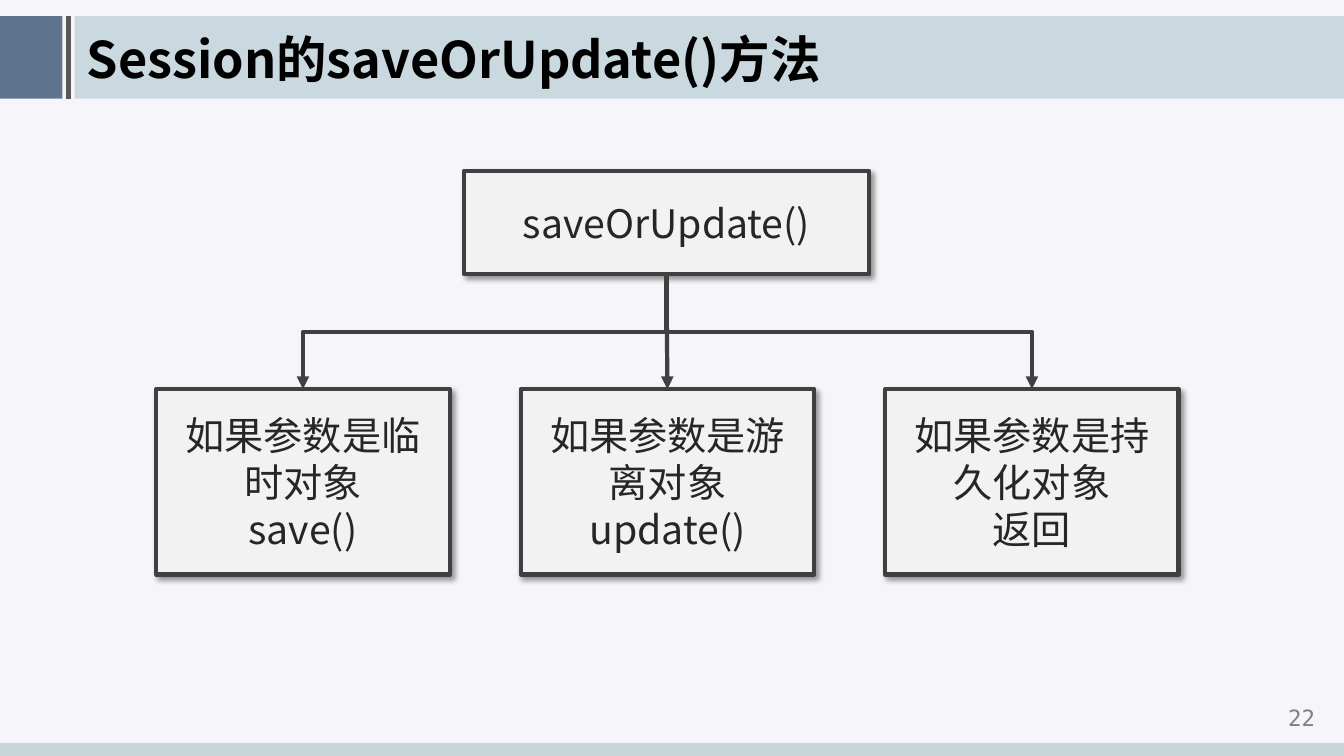
from dataclasses import dataclass

from lxml.etree import SubElement
from pptx import Presentation
from pptx.dml.color import RGBColor
from pptx.enum.shapes import MSO_CONNECTOR, MSO_SHAPE
from pptx.enum.text import MSO_ANCHOR, PP_ALIGN
from pptx.oxml.ns import qn
from pptx.util import Inches, Pt

TITLE = "Session的saveOrUpdate()方法"
PAGE = "22"
ROOT = "saveOrUpdate()"
CASES = [
    ("如果参数是临时对象", "save()"),
    ("如果参数是游离对象", "update()"),
    ("如果参数是持久化对象", "返回"),
]

# left, top, width, height, colour, opacity in percent
BANDS = [
    (0, 0.16, 0.62, 0.82, "204062", 70),
    (0.74, 0.16, 12.59, 0.82, "6699A1", 30),
    (0, 7.37, 13.33, 0.13, "C8D7DA", 100),
]
ROOT_AT = (4.6, 1.7, 4.02, 1.02)
CASE_AT = (1.55, 3.86, 2.91, 1.84)
STEP = 3.615


@dataclass(frozen=True)
class Theme:
    font: str = "Noto Sans CJK SC"
    mono: str = "DejaVu Sans Mono"
    back: str = "F5F5FA"
    head: str = "000000"
    rule: str = "595959"
    edge: str = "404040"
    box: str = "F2F2F2"
    text: str = "262626"
    page: str = "808080"
    head_size: float = 36
    text_size: float = 28
    text_line: float = 33.6
    page_size: float = 16
    stroke: float = 3


THEME = Theme()


def rgb(code):
    return RGBColor.from_string(code)


def spot(at):
    return [Inches(v) for v in at]


def write(shape, lines, font, size, color, align, bold=False, pitch=None):
    frame = shape.text_frame
    frame.word_wrap = True
    frame.vertical_anchor = MSO_ANCHOR.MIDDLE
    frame.text = "\n".join(lines)
    style = {"name": font, "size": Pt(size), "bold": bold}
    for para in frame.paragraphs:
        para.alignment = align
        if pitch:
            para.line_spacing = Pt(pitch)
        for run in para.runs:
            for key, value in style.items():
                setattr(run.font, key, value)
            run.font.color.rgb = rgb(color)
            SubElement(run.font._element, qn("a:ea"), typeface=font)


def add_band(shapes, *at, color, alpha):
    band = shapes.add_shape(MSO_SHAPE.RECTANGLE, *spot(at))
    band.shadow.inherit = False
    band.fill.solid()
    band.fill.fore_color.rgb = rgb(color)
    band.line.fill.background()
    if alpha < 100:
        tint = band.fill._xPr.find(".//" + qn("a:srgbClr"))
        SubElement(tint, qn("a:alpha"), val=str(alpha * 1000))


def add_box(shapes, at, lines):
    box = shapes.add_shape(MSO_SHAPE.RECTANGLE, *spot(at))
    box.shadow.inherit = False
    box.fill.solid()
    box.fill.fore_color.rgb = rgb(THEME.box)
    box.line.color.rgb = rgb(THEME.edge)
    box.line.width = Pt(THEME.stroke)
    effects = box.element.spPr.find(qn("a:effectLst"))
    shade = SubElement(effects, qn("a:outerShdw"), blurRad=str(Pt(4)), dist=str(Pt(3)),
                       dir="2700000", algn="tl", rotWithShape="0")
    tint = SubElement(shade, qn("a:srgbClr"), val="000000")
    SubElement(tint, qn("a:alpha"), val="40000")
    write(box, lines, THEME.font, THEME.text_size, THEME.text, PP_ALIGN.CENTER,
          pitch=THEME.text_line)
    return box


def add_line(shapes, kind, ends, color):
    line = shapes.add_connector(kind, *ends)
    line.line.color.rgb = rgb(color)
    line.line.width = Pt(THEME.stroke)
    SubElement(line.element.spPr, qn("a:effectLst"))
    return line


def turn(line):
    """Turn an elbow a quarter so that it leaves and arrives vertically."""
    x1, y1, x2, y2 = line.begin_x, line.begin_y, line.end_x, line.end_y
    wide, high = y2 - y1, abs(x2 - x1)
    place = {"left": (x1 + x2 - wide) // 2, "top": (y1 + y2 - high) // 2,
             "width": wide, "height": high}
    for key, value in place.items():
        setattr(line, key, value)
    right = x2 > x1
    frame = line.element.spPr.find(qn("a:xfrm"))
    frame.set("rot", str((270 if right else 90) * 60000))
    frame.set("flipH", "1" if right else "0")


def add_arrow(shapes, top, low, bent):
    ends = (top.left + top.width // 2, top.top + top.height,
            low.left + low.width // 2, low.top)
    kind = MSO_CONNECTOR.ELBOW if bent else MSO_CONNECTOR.STRAIGHT
    arrow = add_line(shapes, kind, ends, THEME.edge)
    SubElement(arrow.line._get_or_add_ln(), qn("a:tailEnd"), type="triangle")
    arrow.begin_connect(top, 2)
    arrow.end_connect(low, 0)
    if bent:
        turn(arrow)


def main():
    deck = Presentation()
    deck.slide_width, deck.slide_height = Inches(13.33), Inches(7.5)
    slide = deck.slides.add_slide(deck.slide_layouts[5])
    slide.background.fill.solid()
    slide.background.fill.fore_color.rgb = rgb(THEME.back)
    shapes = slide.shapes

    for *at, color, alpha in BANDS:
        add_band(shapes, *at, color=color, alpha=alpha)
    add_line(shapes, MSO_CONNECTOR.STRAIGHT, spot((0.68, 0.98, 0.68, 0.16)), THEME.rule)

    title = shapes.title
    title.left, title.top, title.width, title.height = spot((0.76, 0.21, 11.54, 0.73))
    write(title, [TITLE], THEME.font, THEME.head_size, THEME.head, PP_ALIGN.LEFT, bold=True)
    title.element.getparent().append(title.element)  # bring above the bands

    page = shapes.add_textbox(*spot((12.49, 6.96, 0.84, 0.31)))
    write(page, [PAGE], THEME.mono, THEME.page_size, THEME.page, PP_ALIGN.CENTER)

    root = add_box(shapes, ROOT_AT, [ROOT])
    left, *rest = CASE_AT
    for i, lines in enumerate(CASES):
        case = add_box(shapes, (left + i * STEP, *rest), lines)
        add_arrow(shapes, root, case, bent=i != len(CASES) // 2)

    deck.save("out.pptx")


if __name__ == "__main__":
    main()
